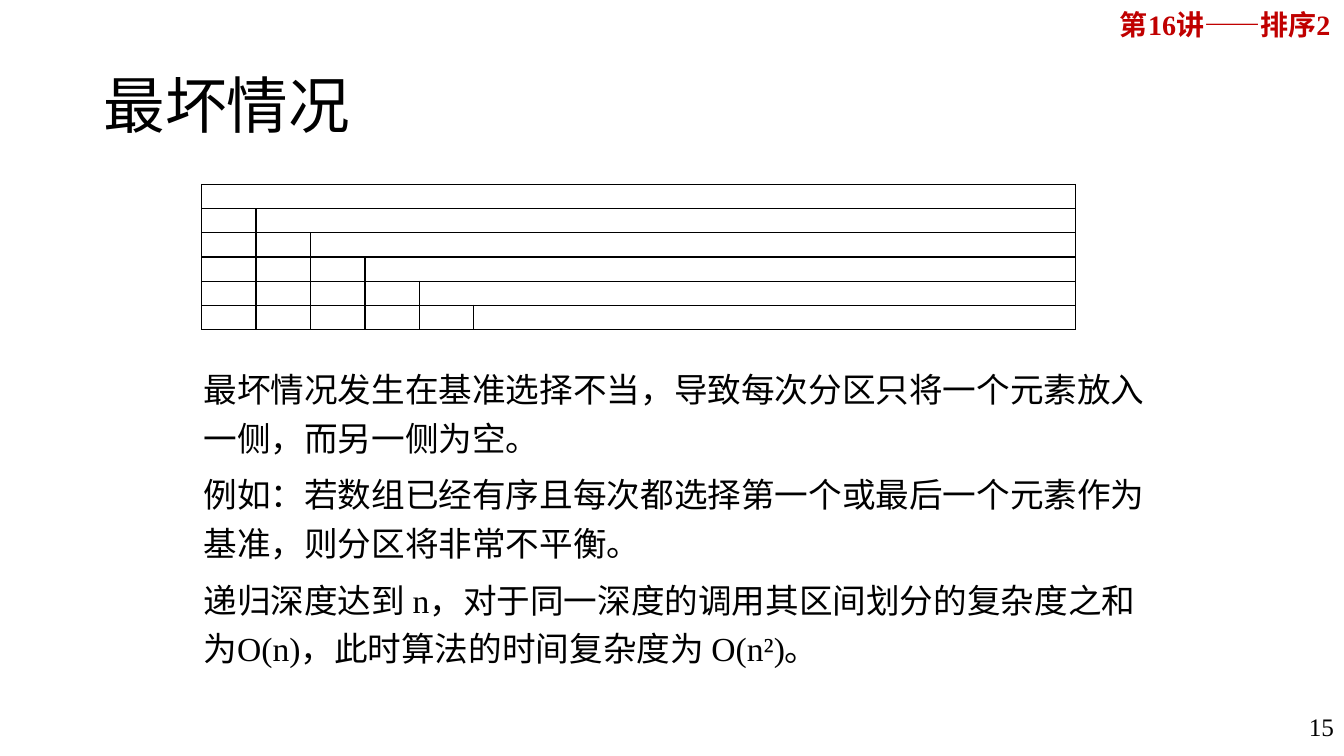
from lxml.etree import SubElement
from pptx import Presentation
from pptx.dml.color import RGBColor
from pptx.enum.text import MSO_ANCHOR as Anchor, PP_ALIGN as Align
from pptx.oxml.ns import qn
from pptx.util import Inches, Pt

FONT = "Times New Roman"
BLACK = "000000"
RED = "C00000"
LEVELS = 6
ROW_HEIGHT = 0.24
PIVOT_WIDTH = 0.54
TABLE_WIDTH = 8.67
BODY = [
    "最坏情况发生在基准选择不当，导致每次分区只将一个元素放入一侧，而另一侧为空。",
    "例如：若数组已经有序且每次都选择第一个或最后一个元素作为基准，则分区将非常不平衡。",
    "递归深度达到 n，对于同一深度的调用其区间划分的复杂度之和为O(n)，此时算法的时间复杂度为 O(n²)。",
]


def color(value):
    return RGBColor.from_string(value)


def apply_format(target, values):
    for name, value in values.items():
        setattr(target, name, value)


def add_text(page, place, lines, size, hue=BLACK, bold=False,
             anchor=Anchor.TOP, gap=0, **para_format):
    box = page.shapes.add_textbox(*map(Inches, place))
    frame = box.text_frame
    apply_format(frame, {"word_wrap": True, "vertical_anchor": anchor})
    for index, line in enumerate(lines):
        para = frame.add_paragraph() if index else frame.paragraphs[0]
        apply_format(para, para_format)
        if index:
            para.space_before = Pt(gap)
        span = para.add_run()
        span.text = line
        apply_format(span.font, {"name": FONT, "size": Pt(size), "bold": bold})
        span.font.color.rgb = color(hue)


def add_borders(cell):
    properties = cell._tc.get_or_add_tcPr()
    for index, side in enumerate(("lnL", "lnR", "lnT", "lnB")):
        line = properties.makeelement(qn(f"a:{side}"), {"w": str(Pt(1))})
        fill = SubElement(line, qn("a:solidFill"))
        SubElement(fill, qn("a:srgbClr"), val=BLACK)
        properties.insert(index, line)


def format_cell(cell):
    margins = ("margin_left", "margin_right", "margin_top", "margin_bottom")
    apply_format(cell, dict.fromkeys(margins, 0))
    cell.fill.background()
    add_borders(cell)
    para = cell.text_frame.paragraphs[0]
    para._p.get_or_add_endParaRPr().set("sz", "800")


def add_partition_table(page, left, top):
    frame = page.shapes.add_table(
        LEVELS, LEVELS, Inches(left), Inches(top),
        Inches(TABLE_WIDTH), Inches(LEVELS * ROW_HEIGHT))
    table = frame.table
    apply_format(table, {"first_row": False, "horz_banding": False})
    for row in table.rows:
        row.height = Inches(ROW_HEIGHT)
    last = LEVELS - 1
    for index, column in enumerate(table.columns):
        rest = TABLE_WIDTH - last * PIVOT_WIDTH
        column.width = Inches(PIVOT_WIDTH if index < last else rest)
    for cell in table.iter_cells():
        format_cell(cell)
    for depth in range(last):
        table.cell(depth, depth).merge(table.cell(depth, last))


def main():
    deck = Presentation()
    apply_format(deck, {"slide_width": Inches(13.33), "slide_height": Inches(7.5)})
    page = deck.slides.add_slide(deck.slide_layouts[6])
    add_text(page, (11.01, 0.03, 2.35, 0.44), ["第16讲——排序2"], 20, RED, True)
    add_text(page, (0.93, 0.65, 12.09, 0.86), ["最坏情况"], 44,
             anchor=Anchor.MIDDLE, line_spacing=0.9)
    add_text(page, (10.22, 6.95, 3.11, 0.4), ["15"], 18,
             alignment=Align.RIGHT, line_spacing=1.2)
    add_partition_table(page, 2, 1.83)
    add_text(page, (1.92, 3.54, 9.67, 3.13), BODY, 24,
             anchor=Anchor.MIDDLE, gap=6, line_spacing=1.2)
    deck.save("out.pptx")


if __name__ == "__main__":
    main()
